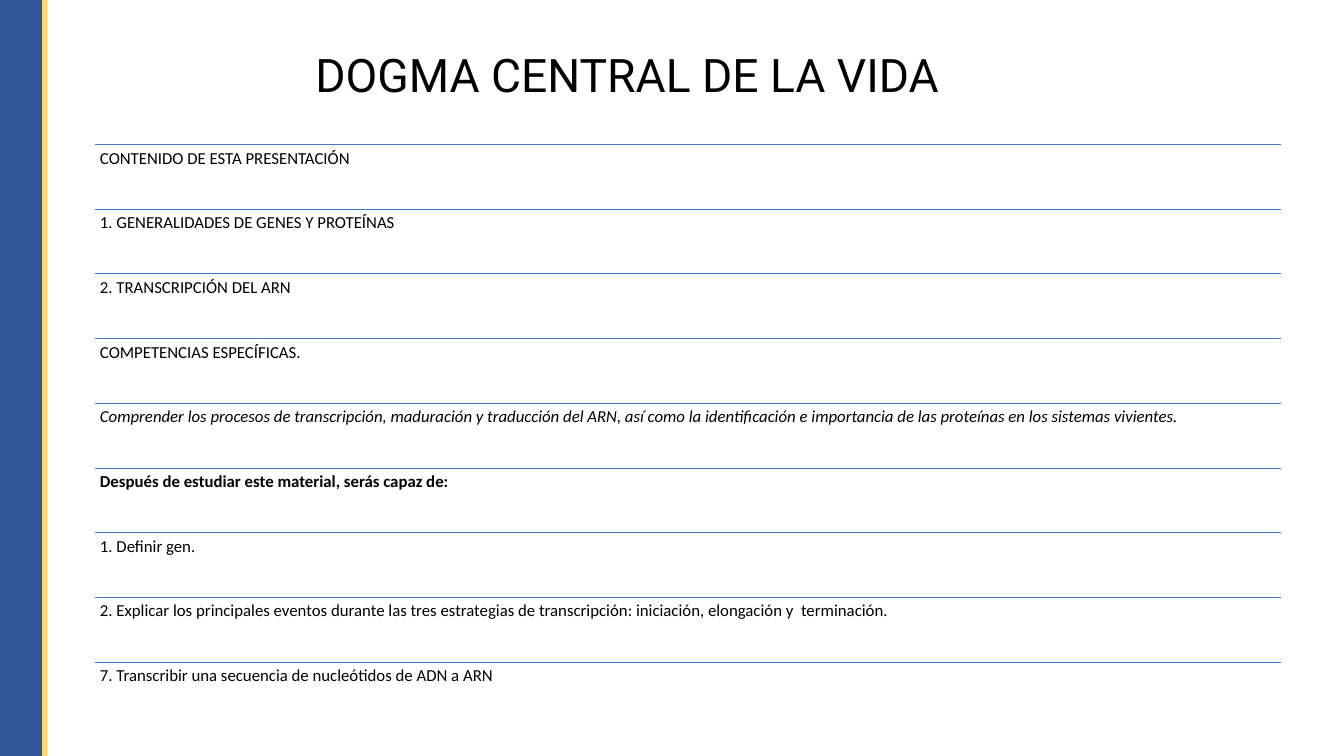
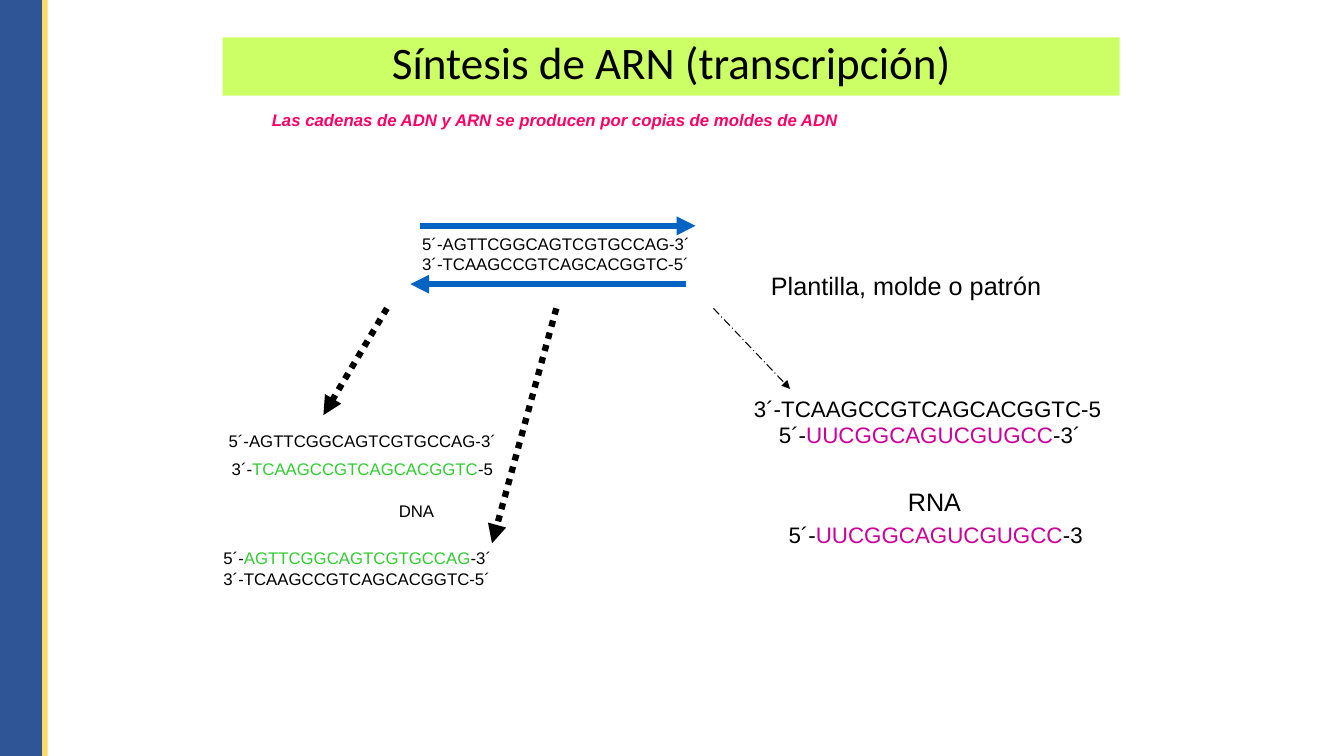
import pptx
import pptx.util
import pptx.dml.color
import pptx.enum.dml
import pptx.enum.shapes
import pptx.enum.text
import pptx.oxml.ns
from lxml import etree

Cm = pptx.util.Cm
Pt = pptx.util.Pt
RGBColor = pptx.dml.color.RGBColor
qn = pptx.oxml.ns.qn
RECTANGLE = pptx.enum.shapes.MSO_SHAPE.RECTANGLE
STRAIGHT = pptx.enum.shapes.MSO_CONNECTOR.STRAIGHT
DASH = pptx.enum.dml.MSO_LINE
ANCHOR = pptx.enum.text.MSO_ANCHOR
ALIGN = pptx.enum.text.PP_ALIGN

BLACK = RGBColor(0x00, 0x00, 0x00)
NAVY = RGBColor(0x2F, 0x55, 0x97)
YELLOW = RGBColor(0xFF, 0xD9, 0x66)
RULE_BLUE = RGBColor(0x44, 0x72, 0xC4)
ARROW_BLUE = RGBColor(0x05, 0x63, 0xC1)
LIME = RGBColor(0xCC, 0xFF, 0x66)
PINK = RGBColor(0xFF, 0x00, 0x66)
GREEN = RGBColor(0x33, 0xCC, 0x33)
MAGENTA = RGBColor(0xCC, 0x00, 0x99)

SLIDE_W, SLIDE_H = 33.87, 19.05
ROW_H = 1.63

CONTENTS = [
    ("CONTENIDO DE ESTA PRESENTACIÓN", ""),
    ("1. GENERALIDADES DE GENES Y PROTEÍNAS", ""),
    ("2. TRANSCRIPCIÓN DEL ARN", ""),
    ("COMPETENCIAS ESPECÍFICAS.", ""),
    ("Comprender los procesos de transcripción, maduración y traducción del ARN, "
     "así como la identificación e importancia de las proteínas en los sistemas "
     "vivientes.", "italic"),
    ("Después de estudiar este material, serás capaz de:", "bold"),
    ("1. Definir gen.", ""),
    ("2. Explicar los principales eventos durante las tres estrategias de "
     "transcripción: iniciación, elongación y  terminación.", ""),
    ("7. Transcribir una secuencia de nucleótidos de ADN a ARN", ""),
]


def add_rect(s, x, y, w, h, color):
    sp = s.shapes.add_shape(RECTANGLE, Cm(x), Cm(y), Cm(w), Cm(h))
    sp.shadow.inherit = False
    sp.fill.solid()
    sp.fill.fore_color.rgb = color
    sp.line.fill.background()
    return sp


def add_line(s, start, end, color, width, dash=None, arrow=False):
    ln = s.shapes.add_connector(STRAIGHT, *(Cm(v) for v in (*start, *end)))
    ln.line.color.rgb = color
    ln.line.width = Pt(width)
    if dash:
        ln.line.dash_style = dash
    if arrow:
        tail = etree.SubElement(ln.line._get_or_add_ln(), qn("a:tailEnd"))
        tail.set("type", "triangle")
    etree.SubElement(ln._element.spPr, qn("a:effectLst"))


def write(tf, text, size, font="Arial", color=BLACK, new_color=None,
          align=None, spacing=None, style=""):
    """Fill a text frame; parts between bars take new_color."""
    tf.word_wrap = True
    for i, row in enumerate(text.split("\n")):
        p = tf.paragraphs[0] if i == 0 else tf.add_paragraph()
        p.alignment = align
        p.line_spacing = spacing
        p.font.size = Pt(size)
        p.font.name = font
        p.font.bold = "bold" in style
        p.font.italic = "italic" in style
        p.font.color.rgb = color
        for j, part in enumerate(row.split("|")):
            r = p.add_run()
            r.text = part
            if j % 2:
                r.font.color.rgb = new_color


def add_text(s, x, y, w, h, text, size, **look):
    tf = s.shapes.add_textbox(Cm(x), Cm(y), Cm(w), Cm(h)).text_frame
    write(tf, text, size, **look)
    return tf


def new_slide(prs):
    """Add a blank slide with the two side bands."""
    s = prs.slides.add_slide(prs.slide_layouts[6])
    add_rect(s, 0.79, 0, 0.41, SLIDE_H, YELLOW)
    add_rect(s, 0, 0, 1.06, SLIDE_H, NAVY)
    return s


def ruled_list(s, x, y, w, rows):
    for i, (text, style) in enumerate(rows):
        top = y + i * ROW_H
        add_line(s, (x, top), (x + w, top), RULE_BLUE, 0.5)
        tf = add_text(s, x, top, w, ROW_H, text, 12, font="Calibri",
                      spacing=0.9, style=style)
        tf.margin_left = tf.margin_right = Cm(0.13)
        tf.margin_top = tf.margin_bottom = Cm(0.13)


def template_strands(s, x, y):
    add_text(s, x + 0.05, y + 0.08, 9.83, 1.27,
             "5´-AGTTCGGCAGTCGTGCCAG-3´\n3´-TCAAGCCGTCAGCACGGTC-5´", 12)
    add_line(s, (x + 0.25, y), (x + 7.19, y), ARROW_BLUE, 4.5, arrow=True)
    add_line(s, (x + 6.96, y + 1.47), (x, y + 1.47), ARROW_BLUE, 4.5, arrow=True)
    add_text(s, x + 8.84, y + 0.99, 8.08, 1.02, "Plantilla, molde o patrón", 18)


def dna_copies(s, x, y):
    for dx, dy, w, h, text in [
        (0.13, 0, 9.83, 0.76, "5´-AGTTCGGCAGTCGTGCCAG-3´"),
        (0.21, 0.69, 9.6, 0.76, "3´-|TCAAGCCGTCAGCACGGTC|-5"),
        (4.42, 1.76, 1.6, 0.76, "DNA"),
        (0, 2.95, 7.65, 1.27,
         "5´-|AGTTCGGCAGTCGTGCCAG|-3´\n3´-TCAAGCCGTCAGCACGGTC-5´"),
    ]:
        add_text(s, x + dx, y + dy, w, h, text, 12, new_color=GREEN)


def rna_copy(s, x, y):
    for dx, dy, w, text, size, align in [
        (0.11, 0, 9.6, "3´-TCAAGCCGTCAGCACGGTC-5", 16, None),
        (0.74, 0.66, 10.08, "5´-|UUCGGCAGUCGUGCC|-3´", 16, None),
        (3.99, 2.29, 3.91, "RNA", 18, None),
        (0, 3.17, 9.88, "5´-|UUCGGCAGUCGUGCC|-3", 16, ALIGN.CENTER),
    ]:
        add_text(s, x + dx, y + dy, w, 0.94, text, size,
                 new_color=MAGENTA, align=align)


def contents_slide(prs):
    s = new_slide(prs)
    tf = add_text(s, 7.7, 0.56, 17, 2.77, "DOGMA CENTRAL DE LA VIDA", 33,
                  font="Roboto", spacing=0.9)
    tf.vertical_anchor = ANCHOR.MIDDLE
    ruled_list(s, 2.39, 3.64, 29.9, CONTENTS)


def transcription_slide(prs):
    s = new_slide(prs)
    title = add_rect(s, 5.61, 0.94, 22.61, 1.47, LIME)
    write(title.text_frame, "Síntesis de ARN (transcripción)", 32.2,
          font="Calibri", align=ALIGN.CENTER, spacing=0.8)
    title.text_frame.vertical_anchor = ANCHOR.MIDDLE
    add_text(s, 6.6, 2.64, 21.11, 0.76,
             "Las cadenas de ADN y ARN se producen por copias de moldes de ADN",
             12, color=PINK, style="bold italic")
    template_strands(s, 10.34, 5.69)
    dna_copies(s, 5.38, 10.74)
    rna_copy(s, 18.64, 9.83)
    for start_x, end, width, dash in [
        (9.75, (8.15, 10.46), 4.5, DASH.ROUND_DOT),
        (14.02, (12.4, 13.69), 4.5, DASH.ROUND_DOT),
        (17.98, (19.91, 9.8), 0.75, DASH.LONG_DASH_DOT),
    ]:
        add_line(s, (start_x, 7.77), end, BLACK, width, dash, arrow=True)


def main():
    prs = pptx.Presentation()
    prs.slide_width = Cm(SLIDE_W)
    prs.slide_height = Cm(SLIDE_H)
    contents_slide(prs)
    transcription_slide(prs)
    prs.save("out.pptx")


if __name__ == "__main__":
    main()
